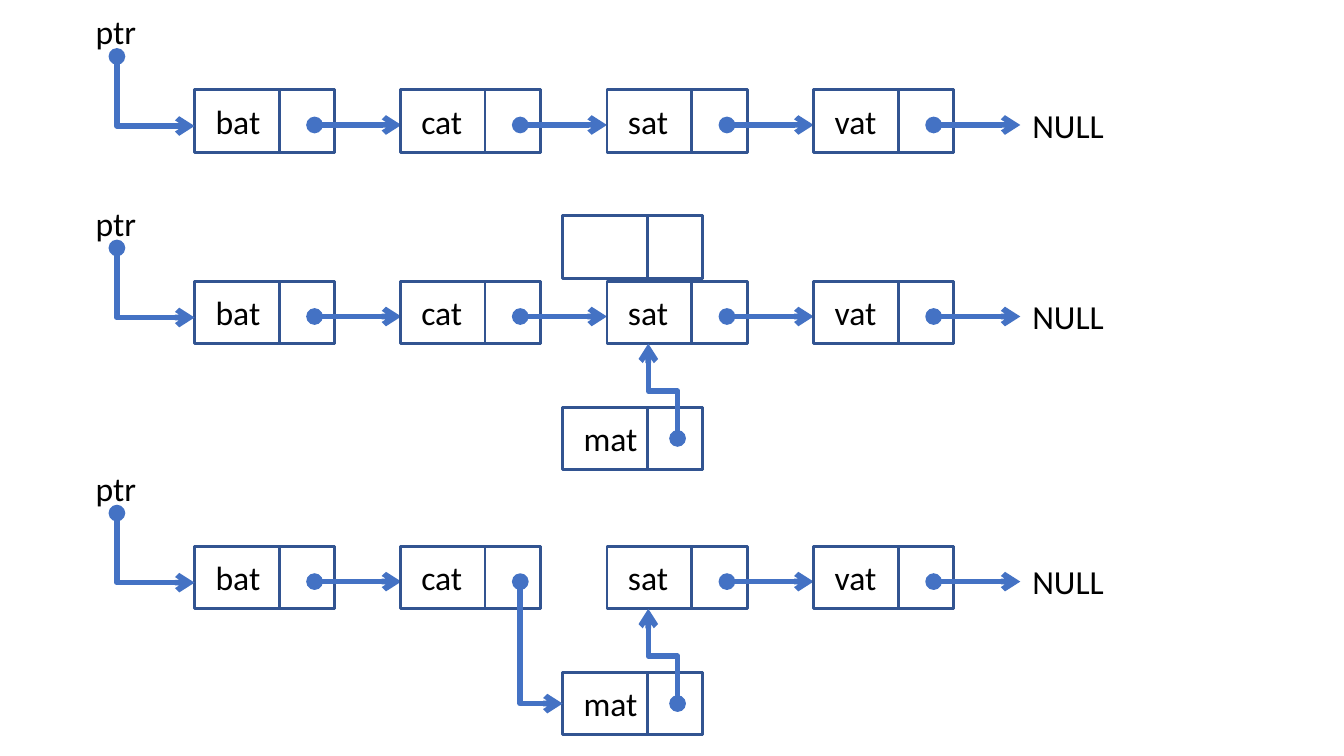
"""Build a slide showing how a node is inserted into a linked list in three steps."""
from lxml import etree
from pptx import Presentation
from pptx.dml.color import RGBColor
from pptx.enum.shapes import MSO_CONNECTOR, MSO_SHAPE
from pptx.enum.text import MSO_AUTO_SIZE
from pptx.oxml.ns import qn
from pptx.util import Pt

PX = 9144
RECTANGLE = MSO_SHAPE.RECTANGLE
STRAIGHT = MSO_CONNECTOR.STRAIGHT
ELBOW = MSO_CONNECTOR.ELBOW
FIT_SHAPE = MSO_AUTO_SIZE.SHAPE_TO_FIT_TEXT
color = RGBColor.from_string

LABEL_FORMAT = {"name": "Calibri", "size": Pt(24)}
LABEL_WIDTHS = {"ptr": 61, "bat": 65, "cat": 61, "sat": 60, "vat": 62, "mat": 74, "NULL": 92}
LIST_LEFTS = {"bat": 193, "cat": 397, "sat": 602, "vat": 807}
NODE_WIDTH, NODE_HEIGHT = 139, 62
LINK_OFFSET, LINK_WIDTH = 84, 55
NEW_LEFT, NEW_DROP = 558, 125
ARROW_BEGIN, ARROW_END, ARROW_DROP = 119, 205, 35
ROWS = [
    {"top": 89, "new": "", "unlinked": []},
    {"top": 279, "new": "mat", "unlinked": []},
    {"top": 542, "new": "mat", "unlinked": ["cat"]},
]


def add_label(shapes, text, left, top):
    """Add an unwrapped text label."""
    box = shapes.add_textbox(left * PX, top * PX, LABEL_WIDTHS[text] * PX, 50 * PX)
    box.text_frame.word_wrap = False
    box.text_frame.auto_size = FIT_SHAPE
    paragraph = box.text_frame.paragraphs[0]
    paragraph.text = text
    for attribute, value in LABEL_FORMAT.items():
        setattr(paragraph.font, attribute, value)
    paragraph.font.color.rgb = color("000000")


def add_arrow(shapes, begin, end, preset=None, flip=None):
    """Add a dotted-tail arrow; a preset elbow leaves its start vertically."""
    (x1, y1), (x2, y2) = begin, end
    kind = ELBOW if preset else STRAIGHT
    connector = shapes.add_connector(kind, x1 * PX, y1 * PX, x2 * PX, y2 * PX)
    connector.line.color.rgb = color("4472C4")
    connector.line.width = Pt(4)
    properties = connector._element.spPr
    line = properties.find(qn("a:ln"))
    etree.SubElement(line, qn("a:headEnd"), type="oval")
    etree.SubElement(line, qn("a:tailEnd"), type="arrow")
    etree.SubElement(properties, qn("a:effectLst"))
    if preset:
        width, height = abs(y2 - y1), abs(x2 - x1)
        connector.left = (x1 + x2 - width) * PX // 2
        connector.top = (y1 + y2 - height) * PX // 2
        connector.width, connector.height = width * PX, height * PX
        transform = properties.find(qn("a:xfrm"))
        transform.attrib.clear()
        transform.set("rot", "16200000")
        transform.set(flip, "1")
        properties.find(qn("a:prstGeom")).set("prst", preset)


presentation = Presentation()
presentation.slide_width, presentation.slide_height = 1333 * PX, 750 * PX
slide = presentation.slides.add_slide(presentation.slide_layouts[6])

for row in ROWS:
    top = row["top"]
    new_top = top + NEW_DROP
    nodes = [(name, left, top) for name, left in LIST_LEFTS.items()]
    nodes.append((row["new"], NEW_LEFT, new_top))

    for name, left, node_top in nodes:
        node = slide.shapes.add_group_shape()
        for offset, width in ((0, NODE_WIDTH), (LINK_OFFSET, LINK_WIDTH)):
            cell = node.shapes.add_shape(
                RECTANGLE, (left + offset) * PX, node_top * PX, width * PX, NODE_HEIGHT * PX)
            cell.shadow.inherit = False
            cell.fill.background()
            cell.line.color.rgb = color("325491")
            cell.line.width = Pt(2)
        if name:
            add_label(node.shapes, name, left + 11, node_top + 6)
        if name in LIST_LEFTS and name not in row["unlinked"]:
            arrow_y = node_top + ARROW_DROP
            add_arrow(node.shapes, (left + ARROW_BEGIN, arrow_y), (left + ARROW_END, arrow_y))

    add_label(slide.shapes, "ptr", 85, top - 83)
    add_label(slide.shapes, "NULL", 1014, top + 10)
    add_arrow(slide.shapes, (116, top - 33), (LIST_LEFTS["bat"], top + 36),
              "bentConnector2", "flipH")
    if row["new"]:
        add_arrow(slide.shapes, (672, new_top + 31), (643, top + NODE_HEIGHT),
                  "bentConnector3", "flipV")
    for name in row["unlinked"]:
        add_arrow(slide.shapes, (LIST_LEFTS[name] + ARROW_BEGIN, top + ARROW_DROP),
                  (NEW_LEFT, new_top + NODE_HEIGHT // 2), "bentConnector2", "flipH")

presentation.save("out.pptx")
